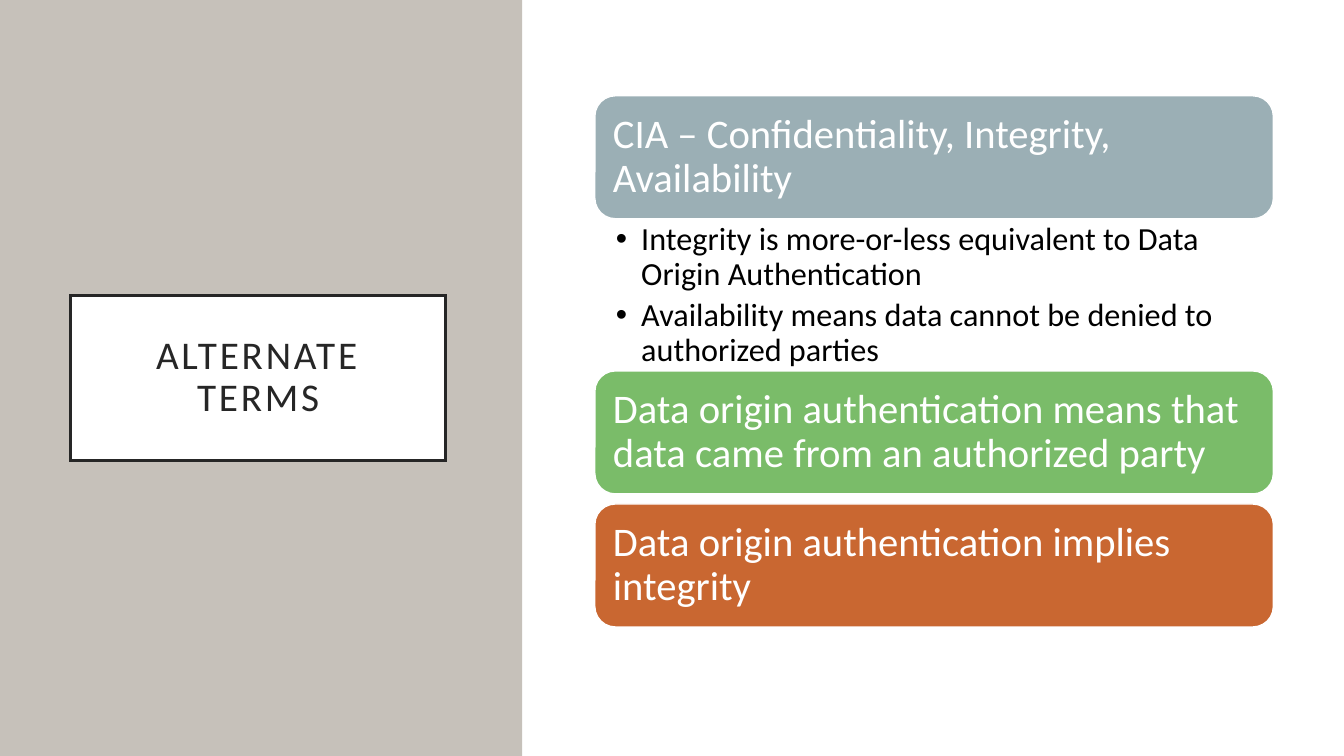
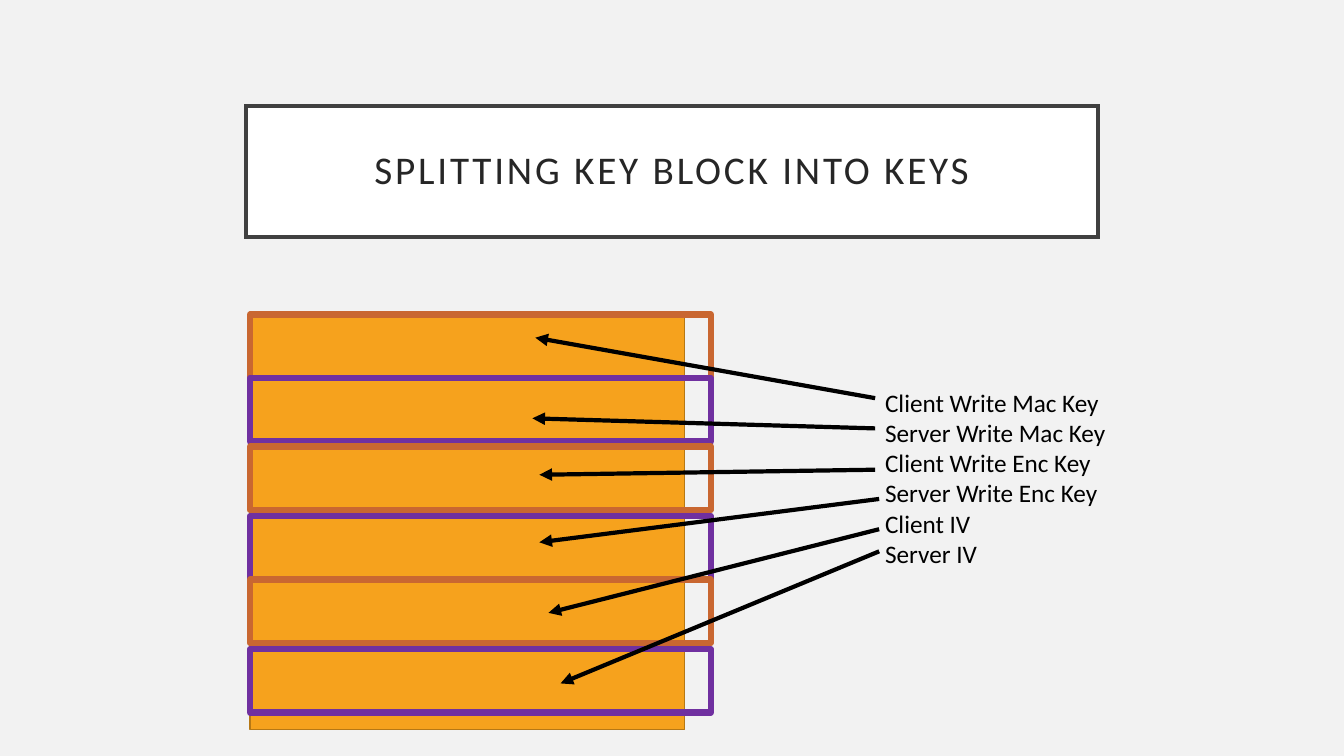
import dataclasses
import itertools
import typing

import pptx
import pptx.dml.color
import pptx.enum.shapes
import pptx.enum.text
import pptx.oxml
import pptx.oxml.ns
import pptx.util

Inches = pptx.util.Inches
Pt = pptx.util.Pt
MSO_SHAPE = pptx.enum.shapes.MSO_SHAPE
MSO_ANCHOR = pptx.enum.text.MSO_ANCHOR
PP_ALIGN = pptx.enum.text.PP_ALIGN


@dataclasses.dataclass(frozen=True)
class Theme:
    font: str = "Calibri"
    white: str = "FFFFFF"
    black: str = "000000"
    ink: str = "262626"
    frame: str = "404040"
    pale: str = "F2F2F2"
    stone: str = "C6C1BA"
    slate: str = "9BAFB5"
    green: str = "7ABC69"
    rust: str = "C96731"
    purple: str = "7030A0"
    amber: str = "F6A21D"
    amber_dark: str = "B67815"
    title_size: float = 28
    title_tracking: float = 2
    card_size: float = 29
    bullet_size: float = 23
    label_size: float = 18


THEME = Theme()


class Box(typing.NamedTuple):
    left: float
    top: float
    width: float
    height: float


class Card(typing.NamedTuple):
    top: float
    fill: str
    text: str


class KeyPart(typing.NamedTuple):
    label: str
    band_top: float
    start: tuple[float, float]
    end: tuple[float, float]


CARD_LEFT, CARD_WIDTH, CARD_HEIGHT = 5.9, 6.73, 1.22
CARDS = [
    Card(0.95, THEME.slate, "CIA – Confidentiality, Integrity, Availability"),
    Card(3.68, THEME.green,
         "Data origin authentication means that data came from an authorized party"),
    Card(5.0, THEME.rust, "Data origin authentication implies integrity"),
]
BULLETS = [
    "Integrity is more-or-less equivalent to Data Origin Authentication",
    "Availability means data cannot be denied to authorized parties",
]

BLOCK = Box(2.48, 3.12, 4.31, 4.12)
BAND_WIDTH, BAND_HEIGHT = 4.57, 0.63
KEY_PARTS = [
    KeyPart("Client Write Mac Key", 3.12, (8.68, 3.95), (5.31, 3.35)),
    KeyPart("Server Write Mac Key", 3.75, (8.68, 4.25), (5.28, 4.15)),
    KeyPart("Client Write Enc Key", 4.43, (8.68, 4.66), (5.35, 4.71)),
    KeyPart("Server Write Enc Key", 5.12, (8.72, 4.95), (5.35, 5.38)),
    KeyPart("Client IV", 5.75, (8.72, 5.25), (5.44, 6.08)),
    KeyPart("Server IV", 6.44, (8.72, 5.47), (5.56, 6.78)),
]


# Shared helpers

def rgb(value: str) -> pptx.dml.color.RGBColor:
    return pptx.dml.color.RGBColor.from_string(value)


def add_xml(parent, tag: str, **attrs: str):
    """Append an empty drawing element and return it."""
    child = pptx.oxml.parse_xml(f"<a:{tag} {pptx.oxml.ns.nsdecls('a')}/>")
    for name, value in attrs.items():
        child.set(name, value)
    parent.append(child)
    return child


def new_slide(prs, background: str):
    s = prs.slides.add_slide(prs.slide_layouts[6])
    s.background.fill.solid()
    s.background.fill.fore_color.rgb = rgb(background)
    return s


def add_box(s, box: Box, fill: str | None = None, line: str | None = None,
            line_width: float = 1, kind=MSO_SHAPE.RECTANGLE):
    sp = s.shapes.add_shape(kind, *map(Inches, box))
    sp.shadow.inherit = False
    if fill:
        sp.fill.solid()
        sp.fill.fore_color.rgb = rgb(fill)
    else:
        sp.fill.background()
    if line:
        sp.line.color.rgb = rgb(line)
        sp.line.width = Pt(line_width)
    else:
        sp.line.fill.background()
    return sp


def set_margins(tf, left: float, top: float, right: float, bottom: float) -> None:
    tf.margin_left, tf.margin_top = Inches(left), Inches(top)
    tf.margin_right, tf.margin_bottom = Inches(right), Inches(bottom)


def write(tf, lines: list[str], size: float, color: str,
          align=PP_ALIGN.LEFT, spacing: float = 1.0, after: float = 0,
          bullet: bool = False) -> None:
    tf.word_wrap = True
    for i, line in enumerate(lines):
        p = tf.paragraphs[0] if i == 0 else tf.add_paragraph()
        p.text = line
        p.alignment = align
        p.line_spacing = spacing
        p.space_after = Pt(after)
        if bullet:
            pPr = p._p.get_or_add_pPr()
            pPr.set("marL", str(Inches(0.25)))
            pPr.set("indent", str(-Inches(0.25)))
            add_xml(pPr, "buFont", typeface="Arial")
            add_xml(pPr, "buChar", char="•")
        p.font.name = THEME.font
        p.font.size = Pt(size)
        p.font.color.rgb = rgb(color)


def add_title(s, box: Box, text: str, line: str) -> None:
    sp = add_box(s, box, THEME.white, line, 2.5)
    add_xml(sp.line._get_or_add_ln(), "miter", lim="800000")
    tf = sp.text_frame
    tf.vertical_anchor = MSO_ANCHOR.MIDDLE
    set_margins(tf, 0.2, 0.2, 0.2, 0.2)
    write(tf, [text], THEME.title_size, THEME.ink, PP_ALIGN.CENTER, 0.9)
    for r in tf.paragraphs[0].runs:
        r._r.get_or_add_rPr().set("spc", str(int(THEME.title_tracking * 100)))


def add_card(s, card: Card) -> None:
    box = Box(CARD_LEFT, card.top, CARD_WIDTH, CARD_HEIGHT)
    sp = add_box(s, box, card.fill, THEME.white, kind=MSO_SHAPE.ROUNDED_RECTANGLE)
    tf = sp.text_frame
    tf.vertical_anchor = MSO_ANCHOR.MIDDLE
    set_margins(tf, 0.12, 0.12, 0.12, 0.12)
    write(tf, [card.text], THEME.card_size, THEME.white, spacing=0.9)


def add_arrow(s, start: tuple[float, float], end: tuple[float, float]) -> None:
    cn = s.shapes.add_connector(pptx.enum.shapes.MSO_CONNECTOR.STRAIGHT,
                                *map(Inches, start + end))
    cn.line.color.rgb = rgb(THEME.black)
    cn.line.width = Pt(3)
    add_xml(cn.line._get_or_add_ln(), "tailEnd", type="triangle")
    add_xml(cn._element.spPr, "effectLst")


# Slides

def build_terms(prs) -> None:
    s = new_slide(prs, THEME.white)
    add_box(s, Box(0, 0, 5.18, 7.5), THEME.stone)
    add_title(s, Box(0.7, 2.93, 3.72, 1.64), "ALTERNATE TERMS", THEME.ink)
    for card in CARDS:
        add_card(s, card)

    # Bullets fill the gap below the first card
    top = CARDS[0].top + CARD_HEIGHT
    tb = s.shapes.add_textbox(Inches(CARD_LEFT), Inches(top), Inches(CARD_WIDTH),
                              Inches(CARDS[1].top - top))
    set_margins(tb.text_frame, 0.21, 0.04, 0.23, 0.04)
    write(tb.text_frame, BULLETS, THEME.bullet_size, THEME.black,
          spacing=0.9, after=4.6, bullet=True)


def build_key_block(prs) -> None:
    s = new_slide(prs, THEME.pale)
    add_title(s, Box(2.44, 1.05, 8.45, 1.3), "SPLITTING KEY BLOCK INTO KEYS",
              THEME.frame)

    # Key block and the bands that divide it
    add_box(s, BLOCK, THEME.amber, THEME.amber_dark)
    colors = itertools.cycle([THEME.rust, THEME.purple])
    for part, color in zip(KEY_PARTS, colors):
        add_box(s, Box(BLOCK.left, part.band_top, BAND_WIDTH, BAND_HEIGHT),
                line=color, line_width=4.5)

    # Labels and their arrows
    tb = s.shapes.add_textbox(*map(Inches, Box(8.68, 3.79, 4.19, 1.92)))
    write(tb.text_frame, [part.label for part in KEY_PARTS],
          THEME.label_size, THEME.black)
    for part in KEY_PARTS:
        add_arrow(s, part.start, part.end)


def main() -> None:
    prs = pptx.Presentation()
    prs.slide_width, prs.slide_height = Inches(13.33), Inches(7.5)
    build_terms(prs)
    build_key_block(prs)
    prs.save("out.pptx")


if __name__ == "__main__":
    main()
